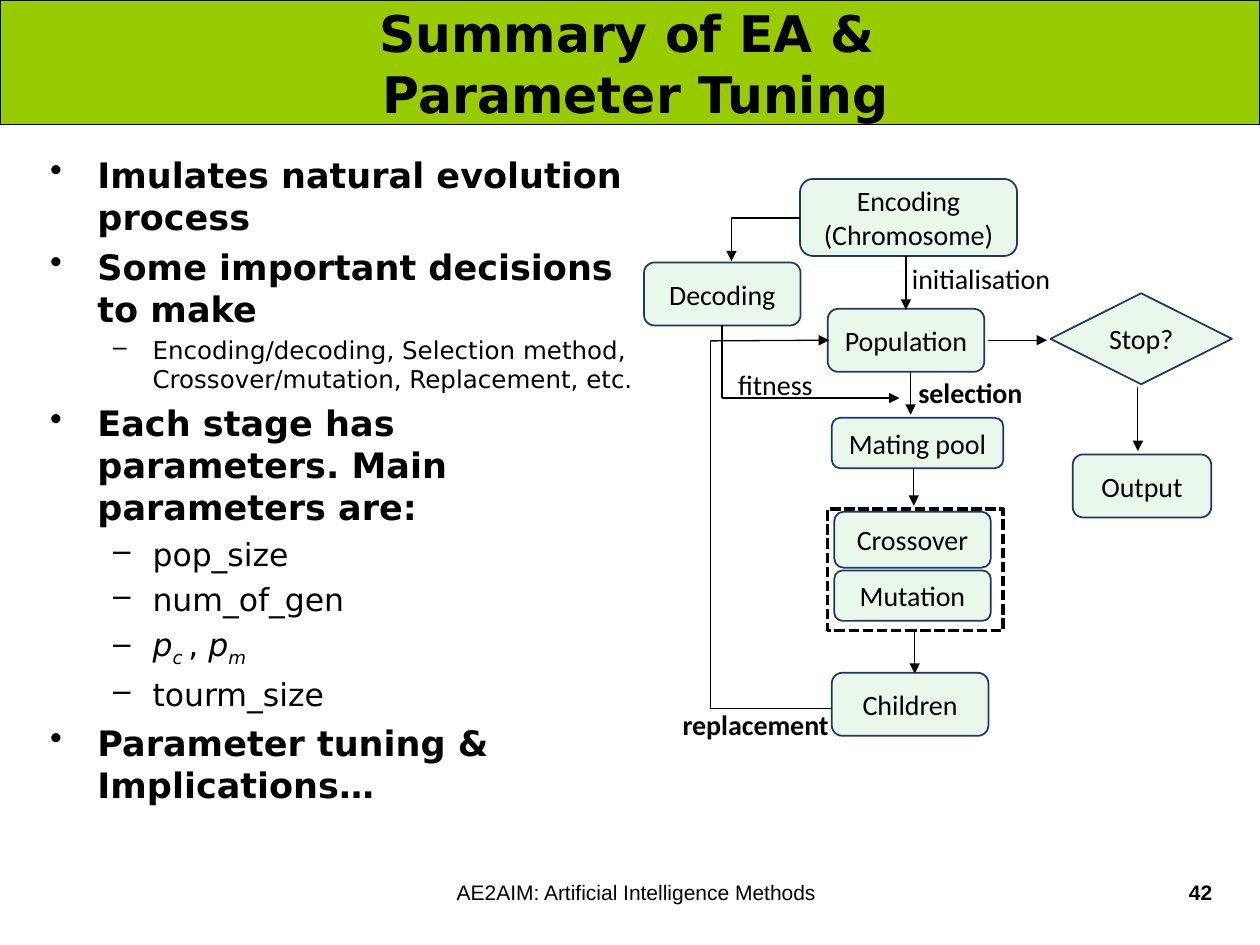
from itertools import pairwise

from lxml import etree
from pptx import Presentation
from pptx import util as u
from pptx.dml.color import RGBColor
from pptx.enum import dml, shapes, text
from pptx.oxml.ns import qn

SHAPE = shapes.MSO_SHAPE
ALIGN = text.PP_ALIGN
ANCHOR = text.MSO_ANCHOR


def rgb(value):
    return RGBColor.from_string(value)


class Deck:
    ink = "000000"
    header_fill = "99CC00"
    node_fill = "E9F8EB"
    node_line = "1F3763"
    title_font = "DejaVu Sans"
    node_font = "Calibri"
    footer_font = "Arial"

    def __init__(self, width, height):
        self.prs = Presentation()
        self.prs.slide_width = u.Pt(width)
        self.prs.slide_height = u.Pt(height)
        self.s = self.prs.slides.add_slide(self.prs.slide_layouts[6])

    def style(self, r, font, size, bold=False, italic=False):
        r.font.name = font
        r.font.size = u.Pt(size)
        r.font.bold = bold
        r.font.italic = italic
        r.font.color.rgb = rgb(self.ink)

    def put_text(self, sp, words, font, size, bold=False, align=ALIGN.LEFT, anchor=ANCHOR.TOP):
        tf = sp.text_frame
        tf.word_wrap = True
        tf.vertical_anchor = anchor
        tf.text = words
        for p in tf.paragraphs:
            p.alignment = align
            for r in p.runs:
                self.style(r, font, size, bold)

    def box(self, at, kind, line, weight, fill=None, dash=None):
        sp = self.s.shapes.add_shape(kind, *map(u.Pt, at))
        sp.shadow.inherit = False
        if fill:
            sp.fill.solid()
            sp.fill.fore_color.rgb = rgb(fill)
        else:
            sp.fill.background()
        sp.line.color.rgb = rgb(line)
        sp.line.width = u.Pt(weight)
        if dash:
            sp.line.dash_style = dash
        return sp

    def node(self, words, at, kind=SHAPE.ROUNDED_RECTANGLE):
        sp = self.box(at, kind, self.node_line, 1, self.node_fill)
        if kind == SHAPE.DIAMOND:
            sp.text_frame.margin_left = sp.text_frame.margin_right = u.Pt(0)
        self.put_text(sp, words, self.node_font, 16, align=ALIGN.CENTER, anchor=ANCHOR.MIDDLE)

    def label(self, words, at, font=node_font, size=16, **look):
        sp = self.s.shapes.add_textbox(*map(u.Pt, at))
        self.put_text(sp, words, font, size, **look)

    def route(self, *points):
        for start, end in pairwise(points):
            cx = self.s.shapes.add_connector(
                shapes.MSO_CONNECTOR.STRAIGHT, *map(u.Pt, start + end))
            cx.line.color.rgb = rgb(self.ink)
            cx.line.width = u.Pt(0.75)
            etree.SubElement(cx._element.spPr, qn("a:effectLst"))
        etree.SubElement(cx._element.spPr.get_or_add_ln(), qn("a:tailEnd"), type="triangle")

    def bullets(self, at, items):
        tf = self.s.shapes.add_textbox(*map(u.Pt, at)).text_frame
        tf.word_wrap = True
        for i, (level, size, runs) in enumerate(items):
            p = tf.paragraphs[0] if i == 0 else tf.add_paragraph()
            margin, indent, mark = ((27, -27, "•"), (58.5, -22.5, "–"))[level]
            p.level = level
            pPr = p._p.get_or_add_pPr()
            pPr.set("marL", str(u.Pt(margin)))
            pPr.set("indent", str(u.Pt(indent)))
            etree.SubElement(pPr, qn("a:buChar"), char=mark)
            p.space_before = u.Pt(size * 0.23 if i else 0)
            for words, italic, subscript in runs:
                r = p.add_run()
                r.text = words
                self.style(r, self.title_font, size, level == 0, italic)
                if subscript:
                    r.font._element.set("baseline", "-25000")


def plain(words):
    return [(words, False, False)]


def main():
    d = Deck(720, 540)

    d.box((0, 0, 720, 71.3), SHAPE.RECTANGLE, d.ink, 0.75, d.header_fill)
    d.label("Summary of EA & \vParameter Tuning", (20.2, 5.8, 686, 60.5), d.title_font, 28.8,
            bold=True, align=ALIGN.CENTER, anchor=ANCHOR.MIDDLE)

    d.bullets((21.6, 84, 355, 379), [
        (0, 20, plain("Imulates natural evolution process")),
        (0, 20, plain("Some important decisions to make")),
        (1, 14, plain("Encoding/decoding, Selection method, "
                      "Crossover/mutation, Replacement, etc.")),
        (0, 20, plain("Each stage has parameters. Main parameters are:")),
        (1, 18, plain("pop_size")),
        (1, 18, plain("num_of_gen")),
        (1, 18, [("p", True, False), ("c ", True, True), (", ", False, False),
                 ("p", True, False), ("m", True, True)]),
        (1, 18, plain("tourm_size")),
        (0, 20, plain("Parameter tuning & Implications…")),
    ])

    for words, at in (
        ("Encoding\n(Chromosome)", (457.2, 102.3, 124, 44)),
        ("Decoding", (368, 150, 89.5, 36)),
        ("Population", (473, 176.5, 89.5, 36)),
        ("Mating pool", (475.3, 238.8, 98, 28.8)),
        ("Crossover", (476.7, 292.4, 89.5, 32)),
        ("Mutation", (476.7, 326, 89.5, 28.8)),
        ("Children", (475.3, 384.5, 89.5, 36)),
        ("Output", (613, 259.7, 79.2, 36)),
    ):
        d.node(words, at)
    d.node("Stop?", (600.3, 167.6, 103.7, 52), SHAPE.DIAMOND)
    d.box((473, 291, 100.3, 69.2), SHAPE.RECTANGLE, d.ink, 2,
          dash=dml.MSO_LINE.SQUARE_DOT)

    for points in (
        ((457.2, 124.5), (418, 124.5), (418, 149.3)),
        ((412.6, 186), (412.6, 227.5), (514, 227.5)),
        ((475.3, 405), (406, 405), (406, 194.8), (473.8, 194.4)),
        ((517.7, 146.3), (517.7, 177)),
        ((520.3, 212.4), (520.3, 237)),
        ((522.2, 267.6), (522.2, 289)),
        ((522.7, 360.7), (522.7, 385)),
        ((564.5, 194.4), (598.3, 194.4)),
        ((650.2, 221), (650.2, 257.8)),
    ):
        d.route(*points)

    for words, at, bold in (
        ("initialisation", (514, 146.2, 124, 28.8), False),
        ("fitness", (414.7, 206.6, 62, 28.8), False),
        ("selection", (517.7, 211, 81.4, 28.8), True),
        ("replacement", (383, 401, 100, 28.8), True),
    ):
        d.label(words, at, bold=bold)

    d.label("AE2AIM: Artificial Intelligence Methods ", (167, 499, 396.7, 37.4),
            d.footer_font, 12, align=ALIGN.CENTER)
    d.label("42", (620.6, 499, 79.2, 37.4), d.footer_font, 12, bold=True, align=ALIGN.RIGHT)

    d.prs.save("out.pptx")


if __name__ == "__main__":
    main()
